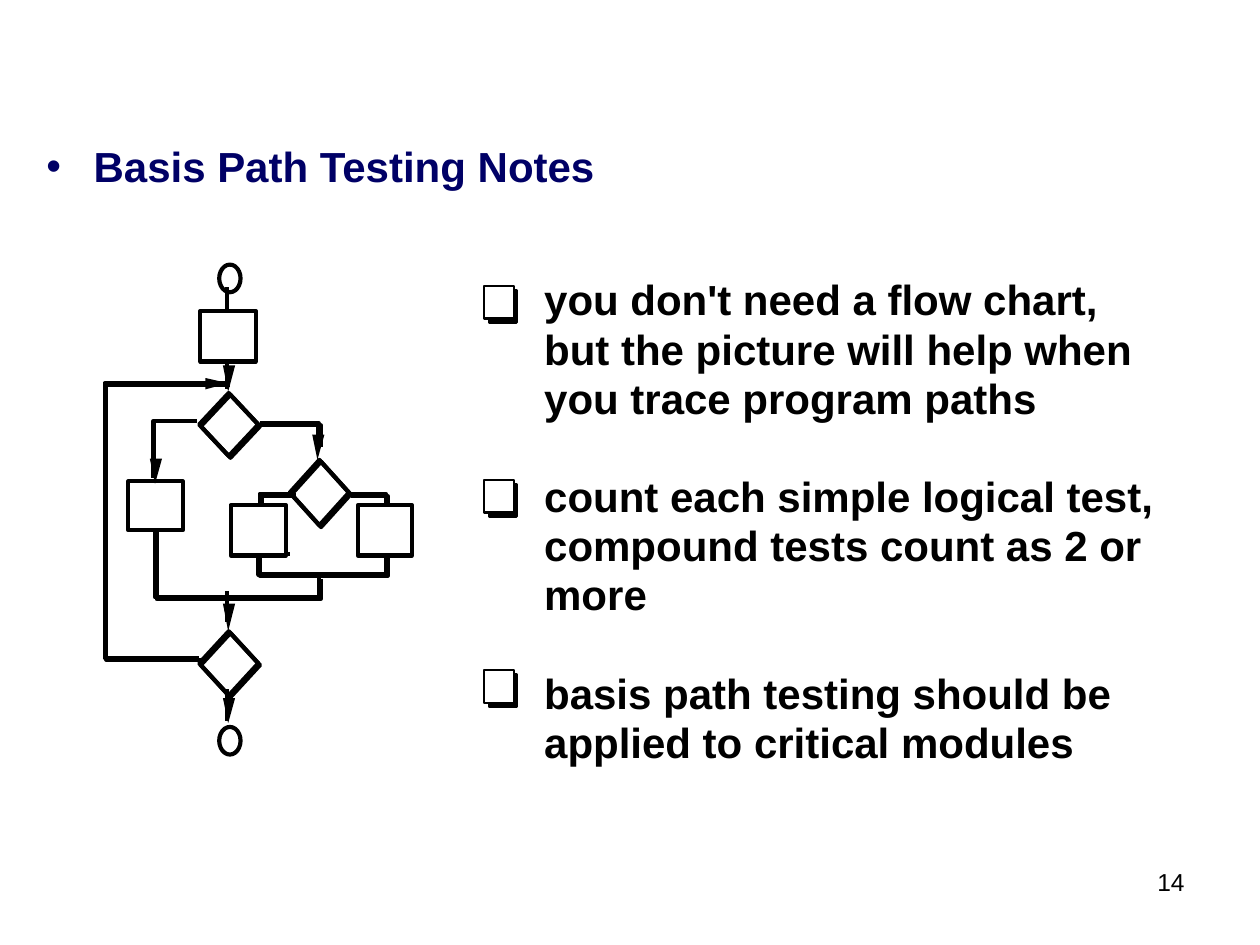
"""Build the slide on basis path testing notes."""
from lxml import etree
from pptx import Presentation
from pptx.dml.color import RGBColor
from pptx.enum.shapes import MSO_CONNECTOR, MSO_SHAPE
from pptx.enum.text import MSO_AUTO_SIZE, PP_ALIGN
from pptx.oxml.ns import qn
from pptx.util import Pt

RECT, OVAL, DIAMOND = MSO_SHAPE.RECTANGLE, MSO_SHAPE.OVAL, MSO_SHAPE.DIAMOND
STRAIGHT = MSO_CONNECTOR.STRAIGHT
RIGHT = PP_ALIGN.RIGHT
BLACK = RGBColor(0, 0, 0)
WHITE = RGBColor(255, 255, 255)
NAVY = RGBColor(0, 0, 0x66)
THICK, THIN = 2.38, 1.39
FONT = "Arial"

TITLE = "Basis Path Testing Notes"
PAGE = "14"
NOTES = [
    (163.4, ["you don't need a flow chart,",
             "but the picture will help when",
             "you trace program paths"]),
    (274.3, ["count each simple logical test,",
             "compound tests count as 2 or",
             "more"]),
    (383, ["basis path testing should be",
           "applied to critical modules"]),
]
NOTE_X, NOTE_TOP, PITCH = 311, 159.8, 28.08

TESTS = [
    (165.6, 262.8, 33.8, 37.4, None),
    (113.8, 224.6, 33.8, 36, WHITE),
    (113.8, 360.7, 33.8, 36.7, WHITE),
]
ENDS = [(125.3, 151.2, 12.2, 15.8), (125.3, 415.4, 12.2, 15.8)]
STEPS = [
    (114.5, 177.8, 31.7, 28.8),
    (131.8, 288.7, 31.7, 28.8),
    (204.5, 288.7, 31, 28.8),
    (73.4, 275, 31, 28.1),
]
DOUBLES = [
    [(148.4, 242), (182.2, 242), (182.2, 254.2)],
    [(199.4, 282.2), (220.4, 282.2), (220.4, 300.2)],
    [(168.4, 282.2), (148.4, 282.2), (148.4, 305.4)],
    [(113.8, 376), (59.8, 376), (59.8, 219), (130.4, 219)],
    [(182.2, 329.8), (182.2, 341.4), (88.6, 341.4), (88.6, 303.2)],
]
SINGLES = [
    [(112.4, 240.5), (87.8, 240.5), (87.8, 272.9)],
    [(148.4, 317.6), (148.4, 329), (221.6, 329), (221.6, 317.6)],
]
JOIN = (147.6, 316.8, 72.8, 11.5)
STEM_X = 129.6
STEMS = [(164.2, 222.5), (337.7, 355.7), (393.8, 411.8)]
HEADS = [
    (181.4, 262.8, 14.4, 6.5),
    (88.6, 276.5, 14.4, 5),
    (130.4, 360.7, 15.8, 5.8),
    (130.4, 223.9, 15.1, 0.8),
    (130.4, 413.3, 14.4, 1.5),
]
BACK = [(130.4, 219), (117.4, 222.5), (117.4, 216)]
STRIP = (166.3, 305.3, 36.7, 13.7)


def paint(shape, fill, line, width):
    shape.shadow.inherit = False
    if fill is None:
        shape.fill.background()
    else:
        shape.fill.solid()
        shape.fill.fore_color.rgb = fill
    if line is None:
        shape.line.fill.background()
    else:
        shape.line.color.rgb = line
        shape.line.width = Pt(width)


def draw(shapes, kind, area, fill, line=BLACK, width=THICK):
    paint(shapes.add_shape(kind, *map(Pt, area)), fill, line, width)


def trace(shapes, points, shift=0, fill=None):
    dots = [(Pt(x + shift), Pt(y + shift)) for x, y in points]
    pen = shapes.build_freeform(*dots[0])
    pen.add_line_segments(dots[1:], close=fill is not None)
    paint(pen.convert_to_shape(), fill, None if fill is not None else BLACK, THICK)


def link(shapes, x1, y1, x2, y2, width=THICK):
    line = shapes.add_connector(STRAIGHT, *map(Pt, (x1, y1, x2, y2)))
    line.line.color.rgb = BLACK
    line.line.width = Pt(width)
    etree.SubElement(line._element.spPr, qn("a:effectLst"))


def write(shapes, area, text, size, color=BLACK, bold=True):
    box = shapes.add_textbox(*map(Pt, area))
    frame = box.text_frame
    frame.word_wrap = True
    frame.text = text
    font = frame.paragraphs[0].runs[0].font
    font.name, font.size, font.bold = FONT, Pt(size), bold
    font.color.rgb = color
    return frame


def bullet(para, color):
    props = para._p.get_or_add_pPr()
    props.set("marL", str(Pt(27)))
    props.set("indent", str(-Pt(27)))
    tint = etree.SubElement(props, qn("a:buClr"))
    etree.SubElement(tint, qn("a:srgbClr"), val=str(color))
    etree.SubElement(props, qn("a:buFont"), typeface=FONT)
    etree.SubElement(props, qn("a:buChar"), char="•")


def add_flow(shapes):
    for x, y, w, h, fill in TESTS:
        draw(shapes, DIAMOND, (x + 1, y + 1, w, h), fill)
        draw(shapes, DIAMOND, (x, y, w, h), None)
    for area in ENDS:
        draw(shapes, OVAL, area, WHITE)
    for route in DOUBLES:
        trace(shapes, route, 1)
        trace(shapes, route)
    for route in SINGLES:
        trace(shapes, route)
    for top, end in STEMS:
        link(shapes, STEM_X, top, STEM_X, end)
    draw(shapes, RECT, JOIN, None)
    for area in STEPS:
        draw(shapes, RECT, area, WHITE)
    for x, y, high, tail in HEADS:
        base = y - high
        trace(shapes, [(x, y), (x - 3, base), (x + 4, base)], fill=BLACK)
        link(shapes, x, base - tail, x, base, THIN)
    trace(shapes, BACK, fill=BLACK)
    link(shapes, 115.9, 219, 117.4, 219.6, THIN)


def add_notes(shapes):
    row = 0
    for top, lines in NOTES:
        draw(shapes, RECT, (279.4, top + 2.2, 15.8, 18.7), BLACK, width=THIN)
        draw(shapes, RECT, (276.5, top, 17.3, 18.7), WHITE, width=THIN)
        for text in lines:
            area = (NOTE_X, NOTE_TOP + row * PITCH, 355, 26)
            frame = write(shapes, area, text, 24)
            frame.word_wrap = False
            frame.auto_size = MSO_AUTO_SIZE.SHAPE_TO_FIT_TEXT
            frame.margin_left = frame.margin_right = 0
            frame.margin_top = frame.margin_bottom = 0
            frame.paragraphs[0].line_spacing = 0.9
            row += 1
        row += 1


def main():
    deck = Presentation()
    deck.slide_width, deck.slide_height = Pt(720), Pt(540)
    shapes = deck.slides.add_slide(deck.slide_layouts[6]).shapes
    page = write(shapes, (535.7, 491.8, 148.3, 37.4), PAGE, 14, bold=False)
    page.paragraphs[0].alignment = RIGHT
    title = write(shapes, (19.4, 77, 648, 68.4), TITLE, 24, NAVY)
    bullet(title.paragraphs[0], NAVY)
    add_flow(shapes.add_group_shape().shapes)
    add_notes(shapes.add_group_shape().shapes)
    draw(shapes, RECT, STRIP, WHITE, WHITE, 1)
    deck.save("out.pptx")


if __name__ == "__main__":
    main()
